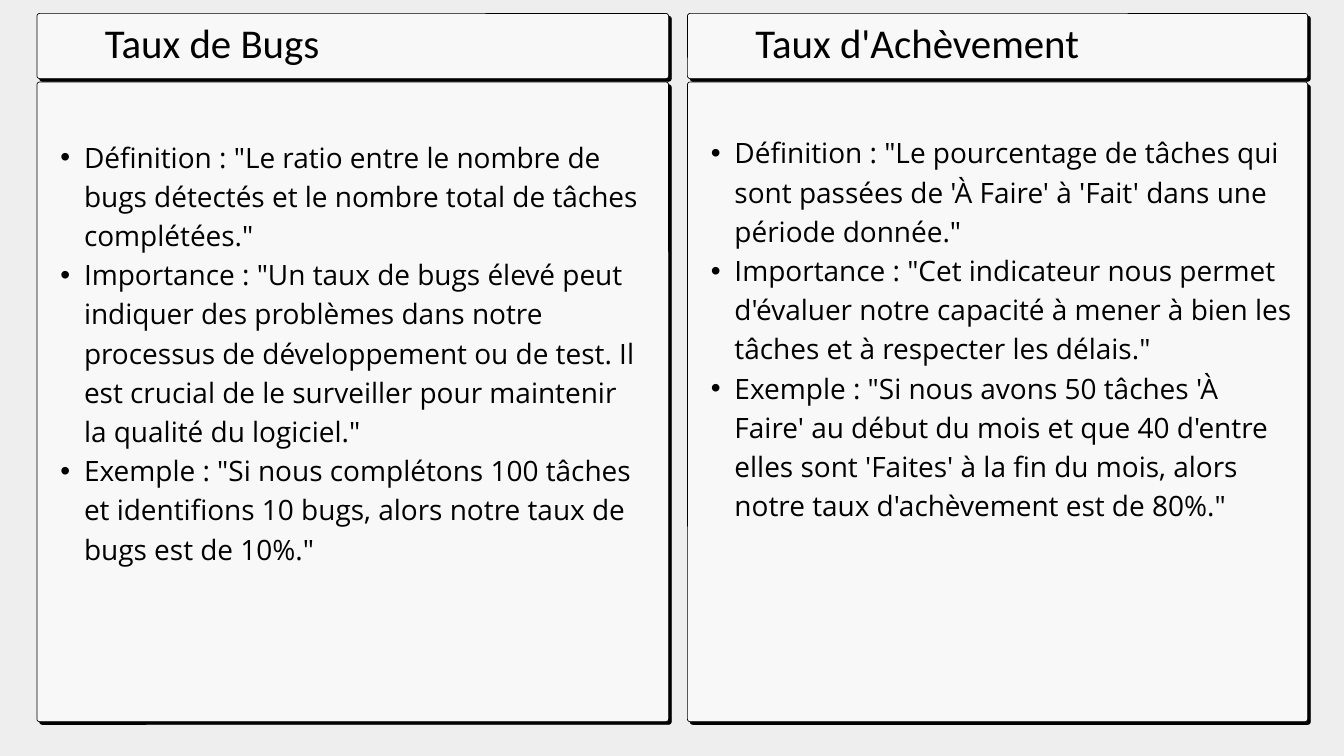
from lxml.etree import SubElement
from pptx import Presentation
from pptx.dml.color import RGBColor
from pptx.enum.shapes import MSO_SHAPE
from pptx.oxml.ns import qn
from pptx.util import Inches, Pt

INK, PAPER, BACKGROUND = "000000", "F8F8F8", "EEEEEE"
HEADER_TOP, HEADER_HEIGHT = 0.2, 0.97
BODY_TOP, BODY_HEIGHT = 1.22, 9.52
CORNER, SHADOW_OFFSET = 0.04, 0.04
TEXT_WIDTH = 9.02

COLUMNS = [
    {
        "left": 0.55, "width": 9.4,
        "title": "Taux de Bugs", "title_left": 1.56, "title_width": 5.19,
        "points_left": 0.54, "points_top": 2, "points_height": 6.98,
        "points": [
            "Définition : \"Le ratio entre le nombre de bugs détectés et le nombre total de tâches complétées.\"",
            "Importance : \"Un taux de bugs élevé peut indiquer des problèmes dans notre processus de "
            "développement ou de test. Il est crucial de le surveiller pour maintenir la qualité du logiciel.\"",
            "Exemple : \"Si nous complétons 100 tâches et identifions 10 bugs, alors notre taux de bugs "
            "est de 10%.\"",
        ],
    },
    {
        "left": 10.23, "width": 9.23,
        "title": "Taux d'Achèvement", "title_left": 11.24, "title_width": 6.63,
        "points_left": 10.22, "points_top": 1.94, "points_height": 6.4,
        "points": [
            "Définition : \"Le pourcentage de tâches qui sont passées de 'À Faire' à 'Fait' dans une "
            "période donnée.\"",
            "Importance : \"Cet indicateur nous permet d'évaluer notre capacité à mener à bien les tâches "
            "et à respecter les délais.\"",
            "Exemple : \"Si nous avons 50 tâches 'À Faire' au début du mois et que 40 d'entre elles sont "
            "'Faites' à la fin du mois, alors notre taux d'achèvement est de 80%.\"",
        ],
    },
]


def rgb(color):
    return RGBColor.from_string(color)


def add_rounded(slide, left, top, width, height, color):
    box = slide.shapes.add_shape(MSO_SHAPE.ROUNDED_RECTANGLE, Inches(left), Inches(top),
                                 Inches(width), Inches(height))
    box.adjustments[0] = CORNER / min(width, height)
    box.shadow.inherit = False
    box.fill.solid()
    box.fill.fore_color.rgb = rgb(color)
    box.line.color.rgb = rgb(INK)
    box.line.width = Pt(0.75)


def add_card(slide, *bounds):
    """Draw a paper card over its hard, offset shadow."""
    left, top, width, height = bounds
    add_rounded(slide, left + SHADOW_OFFSET, top + SHADOW_OFFSET, width, height, INK)
    add_rounded(slide, *bounds, PAPER)


def add_bullet(paragraph):
    paragraph.level = 1
    properties = paragraph._p.get_or_add_pPr()
    properties.set("marL", str(Inches(0.71)))
    properties.set("indent", str(Inches(-0.35)))
    SubElement(properties, qn("a:buFont"), typeface="Arial")
    SubElement(properties, qn("a:buChar"), char="•")


def add_text(slide, lines, left, top, width, height, *, font, size, spacing, bullets=False):
    frame = slide.shapes.add_textbox(Inches(left), Inches(top), Inches(width), Inches(height)).text_frame
    frame.word_wrap = True
    frame.margin_left = frame.margin_right = frame.margin_top = frame.margin_bottom = 0
    for index, line in enumerate(lines):
        paragraph = frame.add_paragraph() if index else frame.paragraphs[0]
        if bullets:
            add_bullet(paragraph)
        paragraph.line_spacing = Pt(spacing)
        run = paragraph.add_run()
        run.text = line
        run.font.name = font
        run.font.size = Pt(size)
        run.font.color.rgb = rgb(INK)


def main():
    deck = Presentation()
    deck.slide_width, deck.slide_height = Inches(20), Inches(11.25)
    slide = deck.slides.add_slide(deck.slide_layouts[6])
    slide.background.fill.solid()
    slide.background.fill.fore_color.rgb = rgb(BACKGROUND)

    for column in COLUMNS:
        left, width = column["left"], column["width"]
        add_card(slide, left, BODY_TOP, width, BODY_HEIGHT)
        add_card(slide, left, HEADER_TOP, width, HEADER_HEIGHT)
        add_text(slide, [column["title"]], column["title_left"], 0.28, column["title_width"], 0.72,
                 font="Calibri", size=43.8, spacing=51.7)
        add_text(slide, column["points"], column["points_left"], column["points_top"], TEXT_WIDTH,
                 column["points_height"], font="Open Sans", size=30, spacing=42, bullets=True)

    deck.save("out.pptx")


if __name__ == "__main__":
    main()
